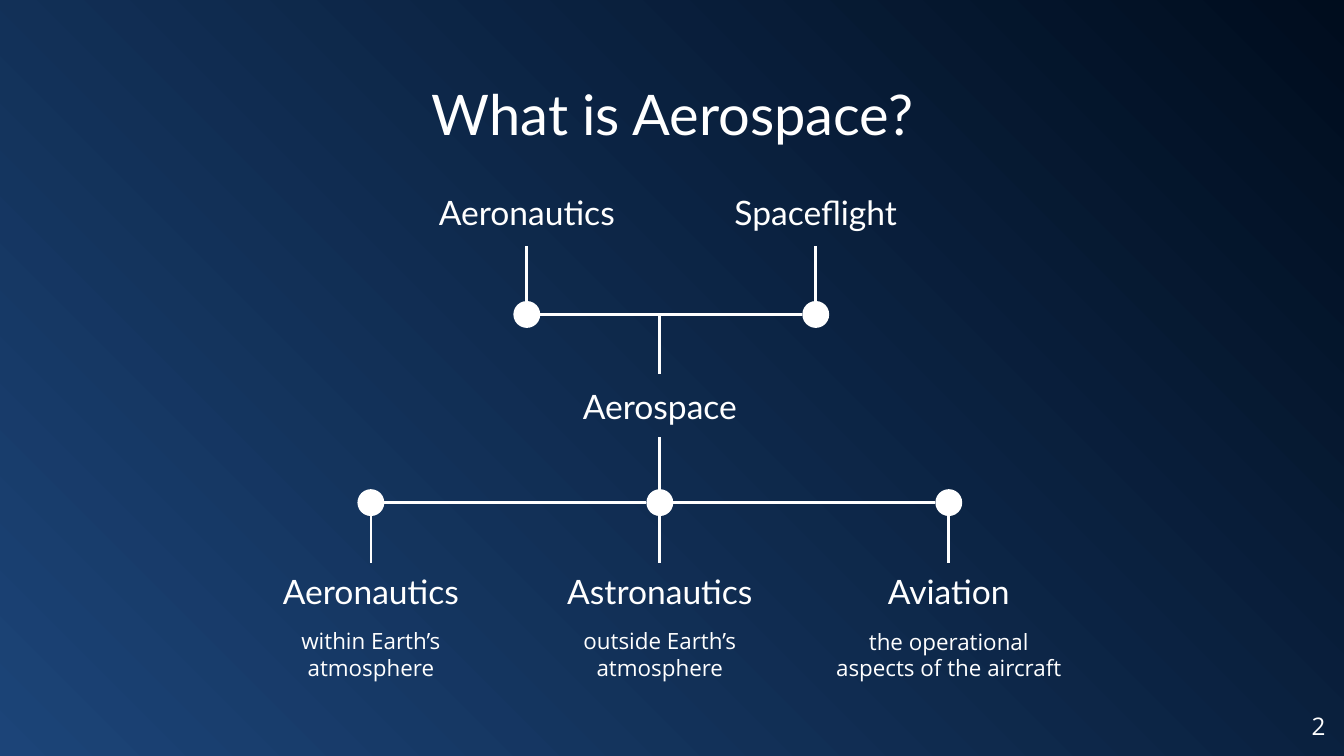
from pptx import Presentation
from pptx.dml.color import RGBColor
from pptx.enum.shapes import MSO_CONNECTOR, MSO_SHAPE
from pptx.enum.text import MSO_ANCHOR, PP_ALIGN
from pptx.oxml.ns import qn
from pptx.util import Inches, Pt
from lxml import etree

STRAIGHT = MSO_CONNECTOR.STRAIGHT
OVAL = MSO_SHAPE.OVAL
TOP, BOTTOM = MSO_ANCHOR.TOP, MSO_ANCHOR.BOTTOM
CENTER, RIGHT = PP_ALIGN.CENTER, PP_ALIGN.RIGHT
TOP_SIDE, BOTTOM_SIDE = 0, 2

COLORS = {"white": "FFFFFF", "glow": "1C4478", "night": "000D1E"}
FORMATS = {
    "title": {"size": Pt(30), "name": "Lato"},
    "label": {"size": Pt(18), "name": "Lato"},
    "detail": {"size": Pt(12), "name": "Open Sans"},
    "number": {"size": Pt(13), "name": "Open Sans"},
}
SLIDE_W = 10
SLIDE_H = SLIDE_W * 9 / 16
MIDDLE_X, COLUMN_GAP = 4.91, 2.15
LABEL_W, LABEL_H = 1.98, 0.46
NODE = 0.2
SOURCES_Y, BRANCHES_Y = 2.34, 3.74
SOURCES = ["Aeronautics", "Spaceflight"]
BRANCHES = [
    ("Aeronautics", "within Earth’s atmosphere", 0.63),
    ("Astronautics", "outside Earth’s atmosphere", 0.63),
    ("Aviation", "the operational aspects of the aircraft", 0.72),
]


def color(name):
    """Return a palette colour."""
    return RGBColor.from_string(COLORS[name])


def add_background(s):
    """Fill the slide with a diagonal gradient."""
    fill = s.background.fill
    fill.gradient()
    fill.gradient_angle = 45
    for stop, name in zip(fill.gradient_stops, ("glow", "night")):
        stop.color.rgb = color(name)


def add_text(s, text, left, top, width, height, kind,
             align=CENTER, anchor=TOP):
    """Add a one-paragraph text box."""
    box = s.shapes.add_textbox(*map(Inches, (left, top, width, height)))
    tf = box.text_frame
    tf.word_wrap = True
    tf.vertical_anchor = anchor
    for side in ("left", "top", "right", "bottom"):
        setattr(tf, f"margin_{side}", Inches(0.1))
    p = tf.paragraphs[0]
    p.alignment = align
    r = p.add_run()
    r.text = text
    for key, value in FORMATS[kind].items():
        setattr(r.font, key, value)
    r.font.color.rgb = color("white")
    return box


def add_label(s, text, x, top):
    """Add a label centred on x."""
    return add_text(s, text, x - LABEL_W / 2, top, LABEL_W, LABEL_H,
                    "label", anchor=BOTTOM)


def add_node(s, x, y):
    """Add a round node centred on a point."""
    sp = s.shapes.add_shape(OVAL, Inches(x - NODE / 2), Inches(y - NODE / 2),
                            Inches(NODE), Inches(NODE))
    sp.shadow.inherit = False
    sp.fill.solid()
    sp.fill.fore_color.rgb = color("white")
    sp.line.fill.background()


def add_line(s, x1, y1, x2, y2):
    """Add a thin white line."""
    line = s.shapes.add_connector(STRAIGHT, *map(Inches, (x1, y1, x2, y2)))
    line.line.color.rgb = color("white")
    line.line.width = Pt(1.5)
    etree.SubElement(line._element.spPr, qn("a:effectLst"))
    return line


def add_row(s, xs, y):
    """Add a row of nodes with a line across each gap."""
    for x in xs:
        add_node(s, x, y)
    for x1, x2 in zip(xs, xs[1:]):
        add_line(s, x1 + NODE / 2, y, x2 - NODE / 2, y)


def add_sources(s):
    """Add the two fields that lead to aerospace."""
    xs = [3.92 + i * COLUMN_GAP for i in range(len(SOURCES))]
    add_row(s, xs, SOURCES_Y)
    for x, text in zip(xs, SOURCES):
        label = add_label(s, text, x, 1.37)
        stem = add_line(s, x, SOURCES_Y - NODE / 2, x, 1.83)
        stem.end_connect(label, BOTTOM_SIDE)


def add_branches(s):
    """Add the three branches with their details."""
    xs = [MIDDLE_X + (i - 1) * COLUMN_GAP for i in range(len(BRANCHES))]
    add_row(s, xs, BRANCHES_Y)
    for x, (text, detail, height) in zip(xs, BRANCHES):
        label = add_label(s, text, x, 4.19)
        stem = add_line(s, x, BRANCHES_Y + NODE / 2, x, 4.19)
        stem.end_connect(label, TOP_SIDE)
        add_text(s, detail, x - LABEL_W / 2, 4.57, LABEL_W, height, "detail")


def main():
    """Build and save the slide."""
    prs = Presentation()
    prs.slide_width, prs.slide_height = Inches(SLIDE_W), Inches(SLIDE_H)
    s = prs.slides.add_slide(prs.slide_layouts[6])
    add_background(s)
    add_text(s, "What is Aerospace?", 0.79, 0.49, 8.43, 0.63, "title")
    add_sources(s)
    add_branches(s)
    add_label(s, "Aerospace", MIDDLE_X, 2.81)
    add_line(s, MIDDLE_X, 2.78, MIDDLE_X, 2.35)
    add_line(s, MIDDLE_X, 3.67, MIDDLE_X, 3.25)
    add_text(s, "2", 9.36, 5.19, 0.6, 0.43, "number", align=RIGHT)
    prs.save("out.pptx")


if __name__ == "__main__":
    main()
